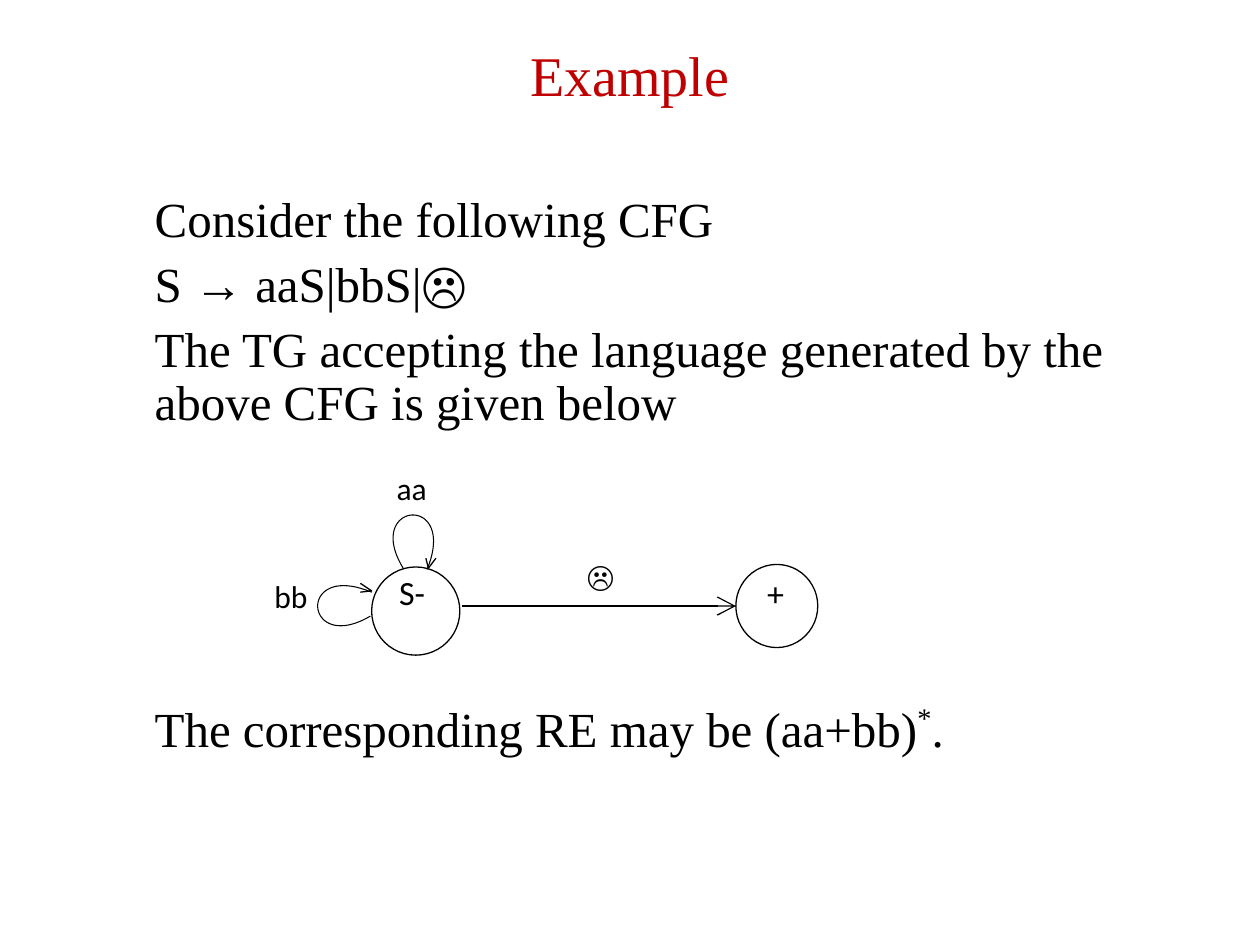
from dataclasses import dataclass

from lxml import etree
from pptx import Presentation
from pptx.dml.color import RGBColor
from pptx.enum.shapes import MSO_CONNECTOR, MSO_SHAPE
from pptx.enum.text import MSO_ANCHOR, PP_ALIGN
from pptx.oxml.ns import qn
from pptx.util import Inches, Pt

OVAL, STRAIGHT = MSO_SHAPE.OVAL, MSO_CONNECTOR.STRAIGHT
TOP, MIDDLE = MSO_ANCHOR.TOP, MSO_ANCHOR.MIDDLE
LEFT, CENTER = PP_ALIGN.LEFT, PP_ALIGN.CENTER
COLUMNS, ROWS = 10, 7.5


@dataclass(frozen=True)
class Theme:
    ink: RGBColor = RGBColor(0, 0, 0)
    paper: RGBColor = RGBColor(255, 255, 255)
    accent: RGBColor = RGBColor(0xC0, 0, 0)
    serif: str = "Times New Roman"
    sans: str = "Calibri"
    symbol: str = "Arial"
    title: float = 32
    body: float = 28
    state: float = 19.4
    edge: float = 18
    null: float = 17.1
    thin: float = 0.6
    line: float = 0.75


def set_all(target, values):
    for name, value in values.items():
        setattr(target, name, value)


class SlideBuilder:
    def __init__(self, deck, theme):
        self.theme = theme
        self.page = deck.slides.add_slide(deck.slide_layouts[6])
        self.column = deck.slide_width / COLUMNS
        self.row = deck.slide_height / ROWS

    def place(self, *lengths):
        """Turn alternating columns and rows into slide units."""
        return [round(length * (self.row if i % 2 else self.column))
                for i, length in enumerate(lengths)]

    def stroke(self, shape, width):
        shape.line.color.rgb = self.theme.ink
        shape.line.width = Pt(width)

    def text(self, area, paragraphs, size, font, color=None, anchor=TOP,
             indent=0, **layout):
        """Each paragraph is a list of (text, font changes) spans."""
        frame = self.page.shapes.add_textbox(*self.place(*area)).text_frame
        set_all(frame, {"word_wrap": True, "vertical_anchor": anchor})
        for number, spans in enumerate(paragraphs):
            para = frame.add_paragraph() if number else frame.paragraphs[0]
            set_all(para, layout)
            para._p.get_or_add_pPr().set("marL", str(Inches(indent)))
            for words, changes in spans:
                span = para.add_run()
                span.text = words
                span.font.color.rgb = color or self.theme.ink
                values = {"size": Pt(size), "name": font, **changes}
                baseline = values.pop("baseline", None)
                set_all(span.font, values)
                if baseline:
                    span._r.get_or_add_rPr().set("baseline", baseline)

    def body(self, top, height, paragraphs):
        self.text((0.75, top, 8.5, height), paragraphs, self.theme.body,
                  self.theme.serif, indent=0.38, alignment=LEFT,
                  line_spacing=0.9, space_before=Pt(7))

    def label(self, area, words, size, font, spacing=1.0):
        self.text(area, [[(words, {})]], size, font, line_spacing=spacing)

    def state(self, area, words, label_at):
        circle = self.page.shapes.add_shape(OVAL, *self.place(*area))
        circle.shadow.inherit = False
        circle.fill.solid()
        circle.fill.fore_color.rgb = self.theme.paper
        self.stroke(circle, self.theme.line)
        self.label((*label_at, 1.02, 0.42), words, self.theme.state,
                   self.theme.sans, 0.8)

    def arrow(self, start, end):
        edge = self.page.shapes.add_connector(
            STRAIGHT, *self.place(*start, *end))
        self.stroke(edge, self.theme.line)
        etree.SubElement(edge.line._get_or_add_ln(), qn("a:tailEnd"),
                         type="arrow", w="lg", len="lg")
        etree.SubElement(edge._element.spPr, qn("a:effectLst"))

    def outline(self, points, width):
        spots = [self.place(*point) for point in points]
        builder = self.page.shapes.build_freeform(*spots[0])
        builder.add_line_segments(spots[1:], close=False)
        shape = builder.convert_to_shape()
        shape.shadow.inherit = False
        shape.fill.background()
        self.stroke(shape, width)

    def loop(self, curve, head, words, label_at, steps=40):
        """Draw a cubic curve, its open arrowhead and its label."""
        points = []
        for step in range(steps + 1):
            t = step / steps
            weights = ((1 - t) ** 3, 3 * t * (1 - t) ** 2,
                       3 * t * t * (1 - t), t ** 3)
            points.append([sum(w * v for w, v in zip(weights, axis))
                           for axis in zip(*curve)])
        self.outline(points, self.theme.thin)
        self.outline(head, self.theme.line)
        self.label((*label_at, 1.26, 0.5), words, self.theme.edge,
                   self.theme.sans)


def main():
    deck = Presentation()
    deck.slide_width, deck.slide_height = Inches(10), Inches(7.5)
    theme = Theme()
    slide = SlideBuilder(deck, theme)

    # Title
    slide.text((0.75, 0.17, 8.5, 0.83), [[("Example", {})]], theme.title,
               theme.serif, theme.accent, MIDDLE, alignment=CENTER)

    # Grammar and conclusion
    slide.body(1.5, 2.1, [
        [("Consider the following CFG", {})],
        [("S ", {}), ("→", {"name": theme.symbol}), (" aaS|bbS|☹", {})],
        [("The TG accepting the language generated by the above CFG "
          "is given below", {})],
    ])
    slide.body(5.55, 0.7, [
        [("The corresponding RE may be (aa+bb)", {}),
         ("*", {"baseline": "40000"}), (".", {})],
    ])

    # States
    slide.state((2.95, 4.5, 0.7, 0.7), "S-", (3.07, 4.55))
    slide.state((5.84, 4.48, 0.65, 0.66), "+", (5.99, 4.56))

    # Transitions
    slide.arrow((3.67, 4.81), (5.84, 4.81))
    slide.label((4.56, 4.43, 0.41, 0.4), "☹", theme.null, theme.serif, 0.8)
    slide.loop([(3.2, 4.51), (2.88, 3.98), (3.64, 3.91), (3.39, 4.52)],
               [(3.46, 4.43), (3.4, 4.51), (3.38, 4.43)], "aa", (3.05, 3.67))
    slide.loop([(2.94, 4.89), (2.41, 5.2), (2.35, 4.45), (2.95, 4.7)],
               [(2.86, 4.63), (2.95, 4.69), (2.86, 4.7)], "bb", (2.08, 4.53))

    deck.save("out.pptx")


if __name__ == "__main__":
    main()
